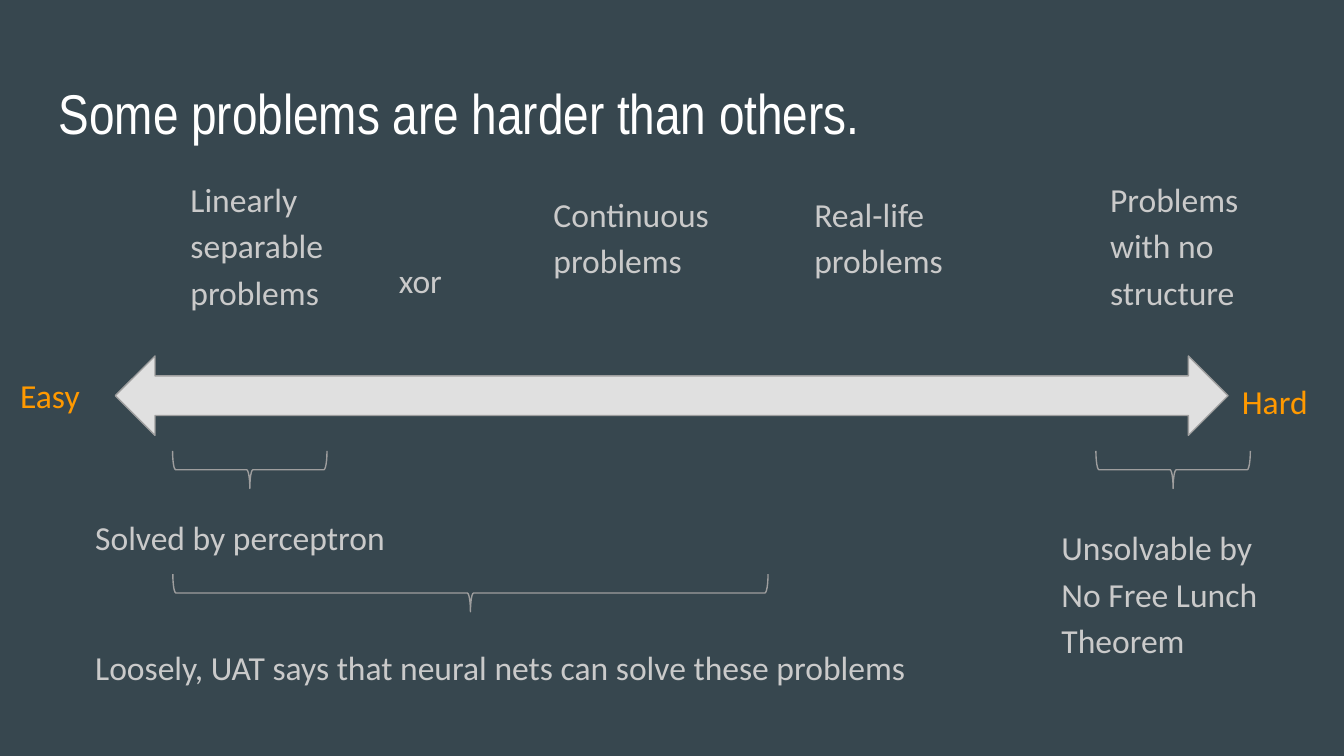
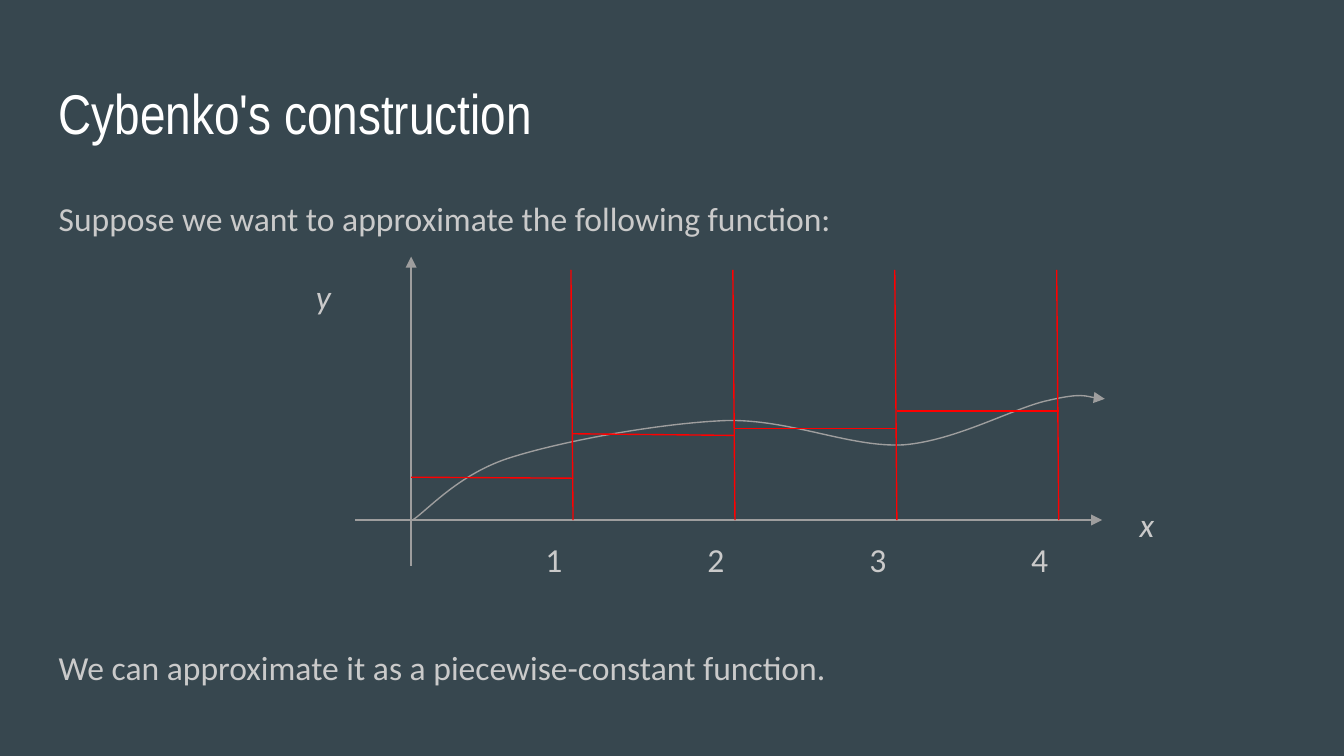
import pptx
import pptx.dml.color
import pptx.enum.shapes
import pptx.enum.text
import pptx.oxml.ns
import pptx.util
from lxml import etree
from pptx.util import Cm

SLATE = pptx.dml.color.RGBColor(0x37, 0x47, 0x4F)
WHITE = pptx.dml.color.RGBColor(0xFF, 0xFF, 0xFF)
LIGHT = pptx.dml.color.RGBColor(0xCA, 0xCA, 0xCA)
SILVER = pptx.dml.color.RGBColor(0xE0, 0xE0, 0xE0)
GREY = pptx.dml.color.RGBColor(0x9E, 0x9E, 0x9E)
ORANGE = pptx.dml.color.RGBColor(0xFF, 0x99, 0x00)
RED = pptx.dml.color.RGBColor(0xFF, 0x00, 0x00)

THIN = pptx.util.Pt(0.75)
LINE_HEIGHT = 1.3
SHAPES = pptx.enum.shapes.MSO_SHAPE
qn = pptx.oxml.ns.qn


def add_text(slide, words, left, top, width, height=LINE_HEIGHT, color=LIGHT, title=False):
    box = slide.shapes.add_textbox(Cm(left), Cm(top), Cm(width), Cm(height))
    frame = box.text_frame
    frame.word_wrap = True
    frame.vertical_anchor = pptx.enum.text.MSO_ANCHOR.TOP
    frame.margin_left = frame.margin_right = Cm(0.25)
    frame.margin_top = frame.margin_bottom = Cm(0.25)
    frame.text = words
    paragraph = frame.paragraphs[0]
    if not title:
        paragraph.line_spacing = 1.15
        paragraph.space_after = pptx.util.Pt(16)
    font = paragraph.runs[0].font
    font.name = "Arial Narrow" if title else "Calibri"
    font.size = pptx.util.Pt(30 if title else 18)
    font.color.rgb = color
    return font


def add_line(slide, x1, y1, x2, y2, color):
    line = slide.shapes.add_connector(
        pptx.enum.shapes.MSO_CONNECTOR.STRAIGHT, Cm(x1), Cm(y1), Cm(x2), Cm(y2))
    line.line.color.rgb = color
    line.line.width = THIN
    etree.SubElement(line._element.spPr, qn("a:effectLst"))
    return line


prs = pptx.Presentation()
prs.slide_width, prs.slide_height = Cm(25.4), Cm(14.29)

# Shared background and title
slides = []
for heading in ("Some problems are harder than others.", "Cybenko's construction"):
    slide = prs.slides.add_slide(prs.slide_layouts[6])
    slide.background.fill.solid()
    slide.background.fill.fore_color.rgb = SLATE
    add_text(slide, heading, 0.86, 1.24, 23.67, 1.6, WHITE, title=True)
    slides.append(slide)
difficulty, construction = slides

# Difficulty scale from easy to hard
scale = difficulty.shapes.add_shape(
    SHAPES.LEFT_RIGHT_ARROW, Cm(2.18), Cm(6.73), Cm(21.03), Cm(1.5))
scale.shadow.inherit = False
scale.fill.solid()
scale.fill.fore_color.rgb = SILVER
scale.line.color.rgb = GREY
scale.line.width = THIN
add_text(difficulty, "Easy", 0.13, 6.73, 2.06, color=ORANGE)
add_text(difficulty, "Hard", 23.22, 6.83, 2.06, color=ORANGE)

# Kinds of problem above the scale, verdicts below it
for words, left, top, width, height in (
    ("Linearly separable problems", 3.35, 3.02, 3.1, 2.54),
    ("xor", 7.29, 4.55, 1.5, LINE_HEIGHT),
    ("Continuous problems", 10.21, 3.3, 3.76, 2.54),
    ("Real-life problems", 15.14, 3.3, 3.76, 2.54),
    ("Problems with no structure", 20.73, 3.02, 3.1, 2.54),
    ("Solved by perceptron", 1.55, 9.4, 6.2, LINE_HEIGHT),
    ("Unsolvable by No Free Lunch Theorem", 19.81, 9.6, 4.78, LINE_HEIGHT),
    ("Loosely, UAT says that neural nets can solve these problems",
     1.55, 11.86, 17.15, LINE_HEIGHT),
):
    add_text(difficulty, words, left, top, width, height)

# Braces: centre and span, turned to point down
BRACE_DEPTH = 0.71
for center_x, center_y, span in ((4.72, 8.88, 2.92), (22.17, 8.88, 2.92), (8.89, 11.21, 11.25)):
    brace = difficulty.shapes.add_shape(
        SHAPES.RIGHT_BRACE, Cm(center_x - BRACE_DEPTH / 2), Cm(center_y - span / 2),
        Cm(BRACE_DEPTH), Cm(span))
    brace.rotation = 90
    brace.shadow.inherit = False
    brace.fill.background()
    brace.line.color.rgb = GREY
    brace.line.width = THIN

# Sentences and axis names around the plot
add_text(construction, "Suppose we want to approximate the following function:", 0.86, 3.38, 17.15)
add_text(construction, "We can approximate it as a piecewise-constant function.", 0.86, 11.86, 17.15)
add_text(construction, "x", 21.29, 9.17, 1.5).italic = True
add_text(construction, "y", 5.72, 4.85, 1.5).italic = True

# Axes
ORIGIN_X, ORIGIN_Y = 7.77, 9.83
y_axis = add_line(construction, ORIGIN_X, 10.69, ORIGIN_X, 4.85, GREY)
x_axis = add_line(construction, 6.71, ORIGIN_Y, 20.83, ORIGIN_Y, GREY)

# Function curve: a start point, then three control points per Bezier segment
curve_points = [
    (7.8, 9.83),
    (8.1, 9.63), (8.69, 8.94), (9.68, 8.64),
    (10.67, 8.33), (12.47, 8.0), (13.72, 7.95),
    (14.94, 7.92), (16.05, 8.46), (17.07, 8.41),
    (18.08, 8.33), (19.18, 7.7), (19.81, 7.57),
    (20.45, 7.42), (20.7, 7.54), (20.88, 7.54),
]
start, *controls = [(Cm(x), Cm(y)) for x, y in curve_points]
builder = construction.shapes.build_freeform(*start)
builder.add_line_segments(controls, close=False)
curve = builder.convert_to_shape()
curve.shadow.inherit = False
curve.fill.background()
curve.line.color.rgb = GREY
curve.line.width = THIN
segments = list(curve._element.iter(qn("a:lnTo")))
outline = segments[0].getparent()
for first in range(0, len(segments), 3):
    bezier = etree.SubElement(outline, qn("a:cubicBezTo"))
    for segment in segments[first:first + 3]:
        bezier.append(segment[0])
        outline.remove(segment)

# Arrowheads on the axes and the curve
for arrow in (y_axis, x_axis, curve):
    stroke = arrow._element.spPr.find(qn("a:ln"))
    etree.SubElement(stroke, qn("a:tailEnd"), type="triangle")

# Unit intervals, each with its constant step
UNIT = 3.06
for number, (step_from, step_to) in enumerate(
        ((9.02, 9.04), (8.2, 8.23), (8.1, 8.1), (7.77, 7.77)), start=1):
    right = ORIGIN_X + number * UNIT
    add_line(construction, right, ORIGIN_Y, right - 0.04, 5.1, RED)
    add_line(construction, right - UNIT, step_from, right, step_to, RED)
    add_text(construction, str(number), right - 0.77, ORIGIN_Y, 1.5)

prs.save("out.pptx")
